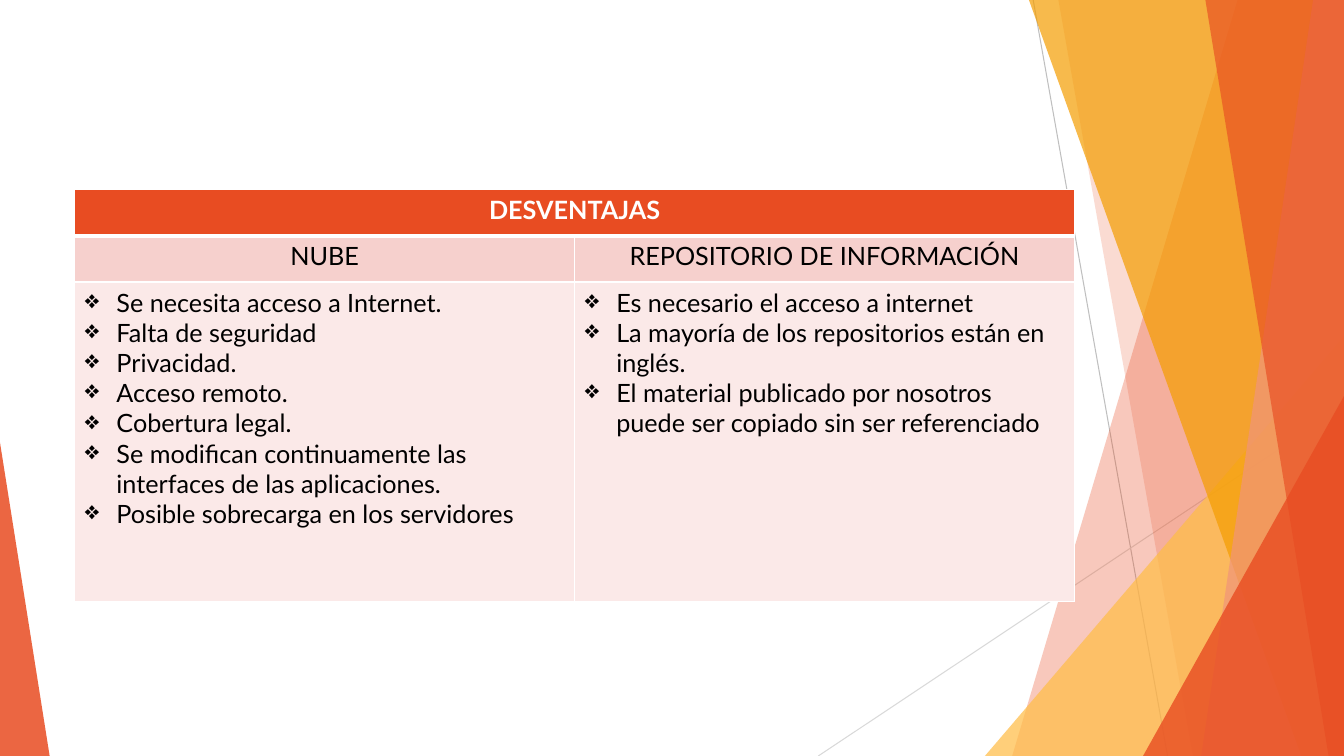
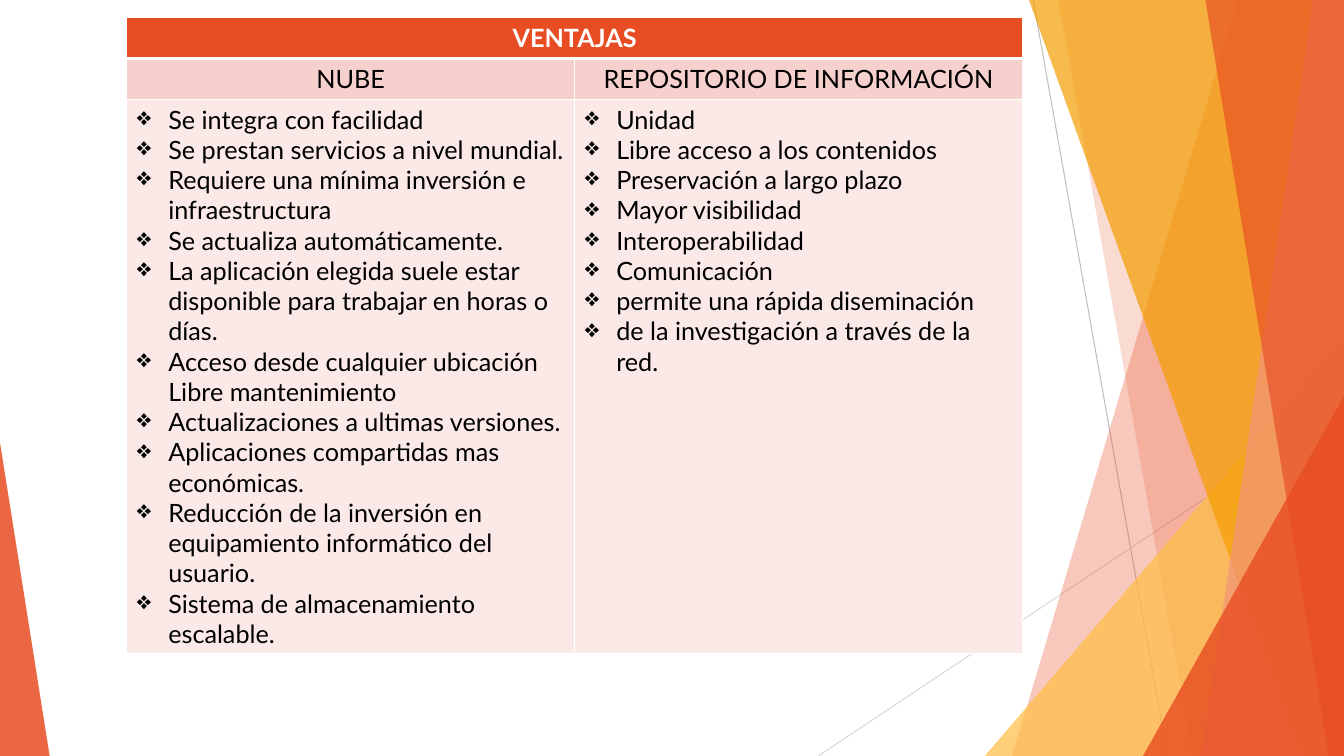
"""Build two slides that compare cloud storage with information repositories."""
from dataclasses import dataclass

from lxml.etree import SubElement
from pptx import Presentation
from pptx.dml.color import RGBColor
from pptx.enum.shapes import MSO_CONNECTOR, MSO_SHAPE
from pptx.enum.text import PP_ALIGN
from pptx.oxml.ns import qn
from pptx.util import Pt


@dataclass(frozen=True)
class Theme:
    """Hold the colours, type and measures that the slides share."""
    wide: float = 960
    high: float = 540
    font: str = "Lato"
    size: float = 18
    indent: float = 22.5
    hair: float = 0.75
    thin: float = 1
    thick: float = 3
    white: str = "FFFFFF"
    black: str = "000000"
    red: str = "E84C22"
    coral: str = "F1947A"
    amber: str = "F49D00"
    gold: str = "FFBD47"
    pink: str = "F6D0CD"
    pale: str = "FBE9E8"
    dark: str = "BFBFBF"
    light: str = "D9D9D9"


THEME = Theme()

LINES = [
    (738, 0, 834, 540, THEME.dark),
    (960, 290, 584.5, 540, THEME.light),
]
BACK = [
    (884, 723, THEME.red, 30),
    (756, 852, THEME.red, 20),
]
FRONT = [
    (735, 929.5, THEME.amber, 70),
    (938, 858, THEME.coral, 70),
    (861, 949, THEME.red, 65),
]

HEADS = ["NUBE", "REPOSITORIO DE INFORMACIÓN"]
CONS = [
    [
        "Se necesita acceso a Internet.",
        "Falta de seguridad",
        "Privacidad.",
        "Acceso remoto.",
        "Cobertura legal.",
        "Se modifican continuamente las interfaces de las aplicaciones.",
        "Posible sobrecarga en los servidores",
    ],
    [
        "Es necesario el acceso a internet",
        "La mayoría de los repositorios están en inglés.",
        "El material publicado por nosotros puede ser copiado sin ser referenciado",
    ],
]
PROS = [
    [
        "Se integra con facilidad",
        "Se prestan servicios a nivel mundial.",
        "Requiere una mínima inversión e infraestructura",
        "Se actualiza automáticamente.",
        "La aplicación elegida suele estar disponible para trabajar en horas o días.",
        "Acceso desde cualquier ubicación Libre mantenimiento",
        "Actualizaciones a ultimas versiones.",
        "Aplicaciones compartidas mas económicas.",
        "Reducción de la inversión en equipamiento informático del usuario.",
        "Sistema de almacenamiento escalable.",
    ],
    [
        "Unidad",
        "Libre acceso a los contenidos",
        "Preservación a largo plazo",
        "Mayor visibilidad",
        "Interoperabilidad",
        "Comunicación",
        "permite una rápida diseminación",
        "de la investigación a través de la red.",
    ],
]


def rgb(code):
    """Turn a hex code into a colour."""
    return RGBColor.from_string(code)


def paint(shape, color, alpha):
    """Give a shape a see-through fill with no line or shadow."""
    shape.shadow.inherit = False
    shape.line.fill.background()
    shape.fill.solid()
    shape.fill.fore_color.rgb = rgb(color)
    tint = shape.element.spPr.find(qn("a:solidFill")).find(qn("a:srgbClr"))
    SubElement(tint, qn("a:alpha"), val=str(alpha * 1000))


def add_line(shapes, x1, y1, x2, y2, color):
    """Draw a hairline."""
    line = shapes.add_connector(MSO_CONNECTOR.STRAIGHT, Pt(x1), Pt(y1), Pt(x2), Pt(y2))
    line.line.color.rgb = rgb(color)
    line.line.width = Pt(THEME.hair)
    SubElement(line.element.spPr, qn("a:effectLst"))


def add_band(shapes, top, base, color, alpha):
    """Draw a full-height band from a slanted edge to the right side."""
    pen = shapes.build_freeform(Pt(top), 0)
    right, foot = Pt(THEME.wide), Pt(THEME.high)
    pen.add_line_segments([(right, 0), (right, foot), (Pt(base), foot)], close=True)
    paint(pen.convert_to_shape(), color, alpha)


def add_wedge(shapes, left, top, width, tip, color, alpha):
    """Draw a triangle that stands on the bottom of the slide."""
    wedge = shapes.add_shape(
        MSO_SHAPE.ISOSCELES_TRIANGLE, Pt(left), Pt(top), Pt(width), Pt(THEME.high - top))
    wedge.adjustments[0] = tip
    paint(wedge, color, alpha)


def add_decor(slide):
    """Draw the shared backdrop and move it to the layout of the slide."""
    layout, shapes = slide.slide_layout, slide.shapes
    for holder in list(layout.placeholders):
        layout.shapes.element.remove(holder.element)
    for line in LINES:
        add_line(shapes, *line)
    for band in BACK:
        add_band(shapes, *band)
    add_wedge(shapes, 703.5, 240, 256.5, 1, THEME.gold, 72)
    for band in FRONT:
        add_band(shapes, *band)
    add_wedge(shapes, 816.5, 283, 143.5, 1, THEME.red, 80)
    add_wedge(shapes, 0, 316, 35.5, 0, THEME.red, 85)
    for shape in list(shapes):
        layout.shapes.element.append(shape.element)


def add_edge(cell, side, width):
    """Draw one white border of a cell."""
    props = cell._tc.get_or_add_tcPr()
    edge = SubElement(props, qn(f"a:ln{side}"), w=str(Pt(width)))
    fill = SubElement(edge, qn("a:solidFill"))
    SubElement(fill, qn("a:srgbClr"), val=THEME.white)


def style_cell(cell, fill, color, bold=False, above=THEME.thin, below=THEME.thin):
    """Set the borders, fill and type of a cell."""
    for side, width in zip("LRTB", (THEME.thin, THEME.thin, above, below)):
        add_edge(cell, side, width)
    cell.fill.solid()
    cell.fill.fore_color.rgb = rgb(fill)
    for para in cell.text_frame.paragraphs:
        for run in para.runs:
            run.font.name = THEME.font
            run.font.size = Pt(THEME.size)
            run.font.bold = bold
            run.font.color.rgb = rgb(color)


def add_bullet(para):
    """Give a paragraph a diamond bullet and a hanging indent."""
    props = para._p.get_or_add_pPr()
    props.set("marL", str(Pt(THEME.indent)))
    props.set("indent", str(-Pt(THEME.indent)))
    SubElement(props, qn("a:buChar"), char="❖")


def add_grid(slide, title, lists, left, top, width, rows):
    """Add a table with a title row, column heads and bulleted lists."""
    frame = slide.shapes.add_table(
        len(rows), len(HEADS), Pt(left), Pt(top), Pt(width * len(HEADS)), Pt(sum(rows)))
    grid = frame.table
    for row, height in zip(grid.rows, rows):
        row.height = Pt(height)
    grid.cell(0, 0).merge(grid.cell(0, len(HEADS) - 1))
    grid.cell(0, 0).text_frame.text = title
    for col, (head, items) in enumerate(zip(HEADS, lists)):
        grid.columns[col].width = Pt(width)
        banner, label, body = [grid.cell(row, col) for row in range(len(rows))]
        label.text_frame.text = head
        body.text_frame.text = "\n".join(items)
        for cell in (banner, label):
            cell.text_frame.paragraphs[0].alignment = PP_ALIGN.CENTER
        for para in body.text_frame.paragraphs:
            add_bullet(para)
        style_cell(banner, THEME.red, THEME.white, bold=True, below=THEME.thick)
        style_cell(label, THEME.pink, THEME.black, above=THEME.thick)
        style_cell(body, THEME.pale, THEME.black)


def main():
    """Build and save the deck."""
    deck = Presentation()
    deck.slide_width, deck.slide_height = Pt(THEME.wide), Pt(THEME.high)
    blank = deck.slide_layouts[6]
    cons, pros = [deck.slides.add_slide(blank) for _ in range(2)]
    add_decor(cons)
    add_grid(cons, "DESVENTAJAS", CONS, 53.5, 135.5, 357, (33, 33, 228))
    add_grid(pros, "VENTAJAS", PROS, 90.5, 12.5, 320, (29.2, 29.2, 395))
    deck.save("out.pptx")


if __name__ == "__main__":
    main()
